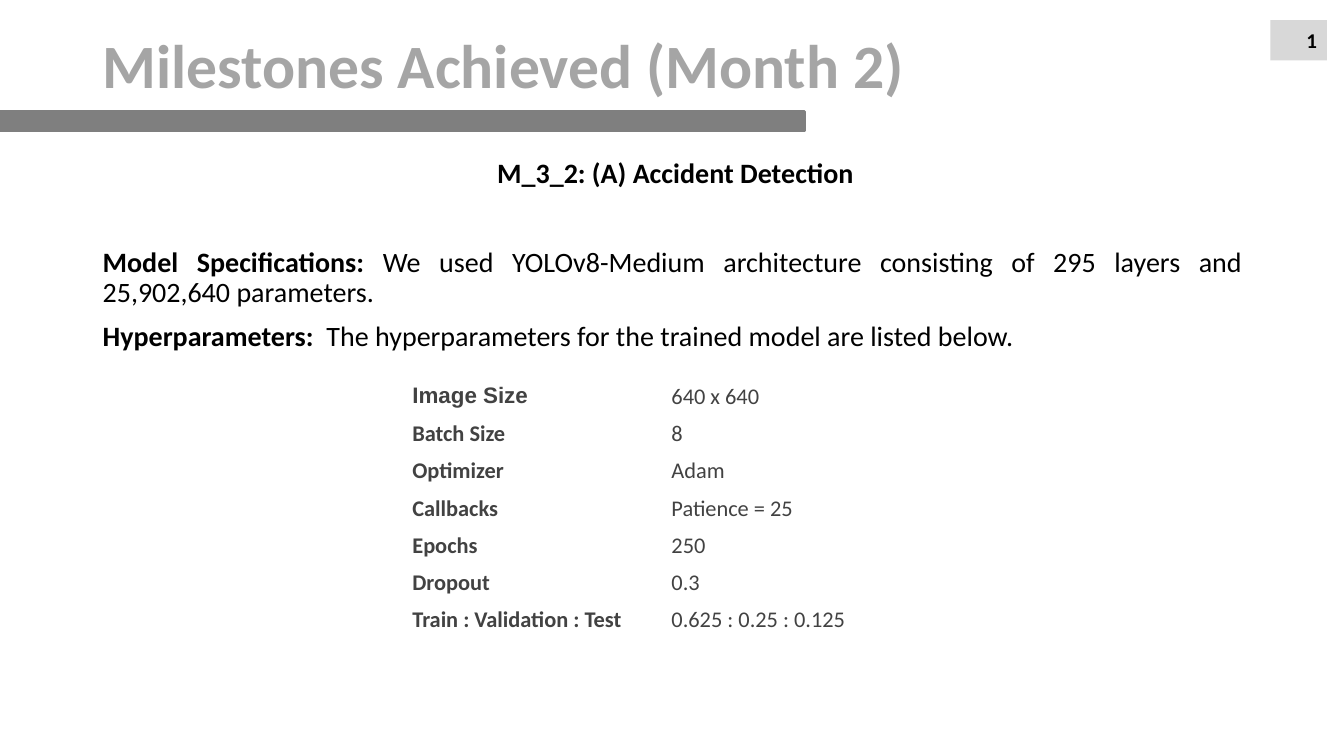
import pptx
import pptx.util
import pptx.dml.color
import pptx.enum.shapes
import pptx.enum.text

Inches, Pt = pptx.util.Inches, pptx.util.Pt
ALIGN = pptx.enum.text.PP_ALIGN
MIDDLE = pptx.enum.text.MSO_ANCHOR.MIDDLE
RECT = pptx.enum.shapes.MSO_SHAPE.RECTANGLE
COLORS = {"bar": "7F7F7F", "title": "A5A5A5", "badge": "D8D8D8",
          "text": "000000", "cell": "424242"}


def paint(name):
    return pptx.dml.color.RGBColor.from_string(COLORS[name])


def style(run, size, color, bold=True, face="Calibri"):
    run.font.name = face
    run.font.size = Pt(size)
    run.font.bold = bold
    run.font.color.rgb = paint(color)


deck = pptx.Presentation()
deck.slide_width, deck.slide_height = Inches(13.33), Inches(7.5)
slide = deck.slides.add_slide(deck.slide_layouts[6])
shapes = slide.shapes

# Bar under the title
bar = shapes.add_shape(RECT, Inches(0), Inches(1.11), Inches(7.98), Inches(0.19))
bar.shadow.inherit = False
bar.fill.solid()
bar.fill.fore_color.rgb = paint("bar")
bar.line.color.rgb = paint("bar")
bar.line.width = Pt(2)

# Title
title = shapes.add_textbox(Inches(0.92), Inches(0.02), Inches(11.5), Inches(1.32))
frame = title.text_frame
frame.word_wrap = True
frame.vertical_anchor = MIDDLE
frame.text = "Milestones Achieved (Month 2)"
frame.paragraphs[0].line_spacing = 0.9
style(frame.paragraphs[0].runs[0], 44, "title")

# Page number
badge = shapes.add_shape(RECT, Inches(12.6), Inches(0.2), Inches(0.56), Inches(0.4))
badge.shadow.inherit = False
badge.fill.solid()
badge.fill.fore_color.rgb = paint("badge")
badge.line.fill.background()
frame = badge.text_frame
frame.vertical_anchor = MIDDLE
frame.text = "1"
frame.paragraphs[0].alignment = ALIGN.RIGHT
style(frame.paragraphs[0].runs[0], 15, "text")

# Body: lead in bold, rest in regular, space before in points
body = shapes.add_textbox(Inches(0.92), Inches(1.53), Inches(11.5), Inches(5.23))
frame = body.text_frame
frame.word_wrap = True
lines = [
    ("M_3_2: (A) Accident Detection", "", ALIGN.CENTER, 0),
    ("Model Specifications: ",
     "We used YOLOv8-Medium architecture consisting of 295 layers and "
     "25,902,640 parameters.", ALIGN.JUSTIFY, 42),
    ("Hyperparameters:  ",
     "The hyperparameters for the trained model are listed below.",
     ALIGN.JUSTIFY, 10),
]
for i, (lead, rest, align, gap) in enumerate(lines):
    par = frame.paragraphs[0] if i == 0 else frame.add_paragraph()
    par.text = lead
    par.alignment = align
    par.line_spacing = 0.9
    if gap:
        par.space_before = Pt(gap)
    style(par.runs[0], 20, "text")
    if rest:
        run = par.add_run()
        run.text = rest
        style(run, 20, "text", bold=False)
props = frame.paragraphs[0]._p.get_or_add_pPr()
props.set("marL", str(Inches(0.5)))
props.set("indent", str(Inches(-0.44)))

# Hyperparameters
params = [
    ("Image Size", "640 x 640"),
    ("Batch Size", "8"),
    ("Optimizer", "Adam"),
    ("Callbacks", "Patience = 25"),
    ("Epochs", "250"),
    ("Dropout", "0.3"),
    ("Train : Validation : Test", "0.625 : 0.25 : 0.125"),
]
table = shapes.add_table(len(params), 2, Inches(3.99), Inches(3.75),
                         Inches(5.34), Inches(2.57)).table
table.first_row = table.horz_banding = False
table.columns[0].width, table.columns[1].width = Inches(2.57), Inches(2.77)
for r, pair in enumerate(params):
    table.rows[r].height = Inches(0.37)
    for c, words in enumerate(pair):
        cell = table.cell(r, c)
        cell.fill.background()
        cell.text_frame.text = words
        face = "Arial" if r == c == 0 else "Calibri"
        style(cell.text_frame.paragraphs[0].runs[0], 16, "cell", c == 0, face)

deck.save("out.pptx")
